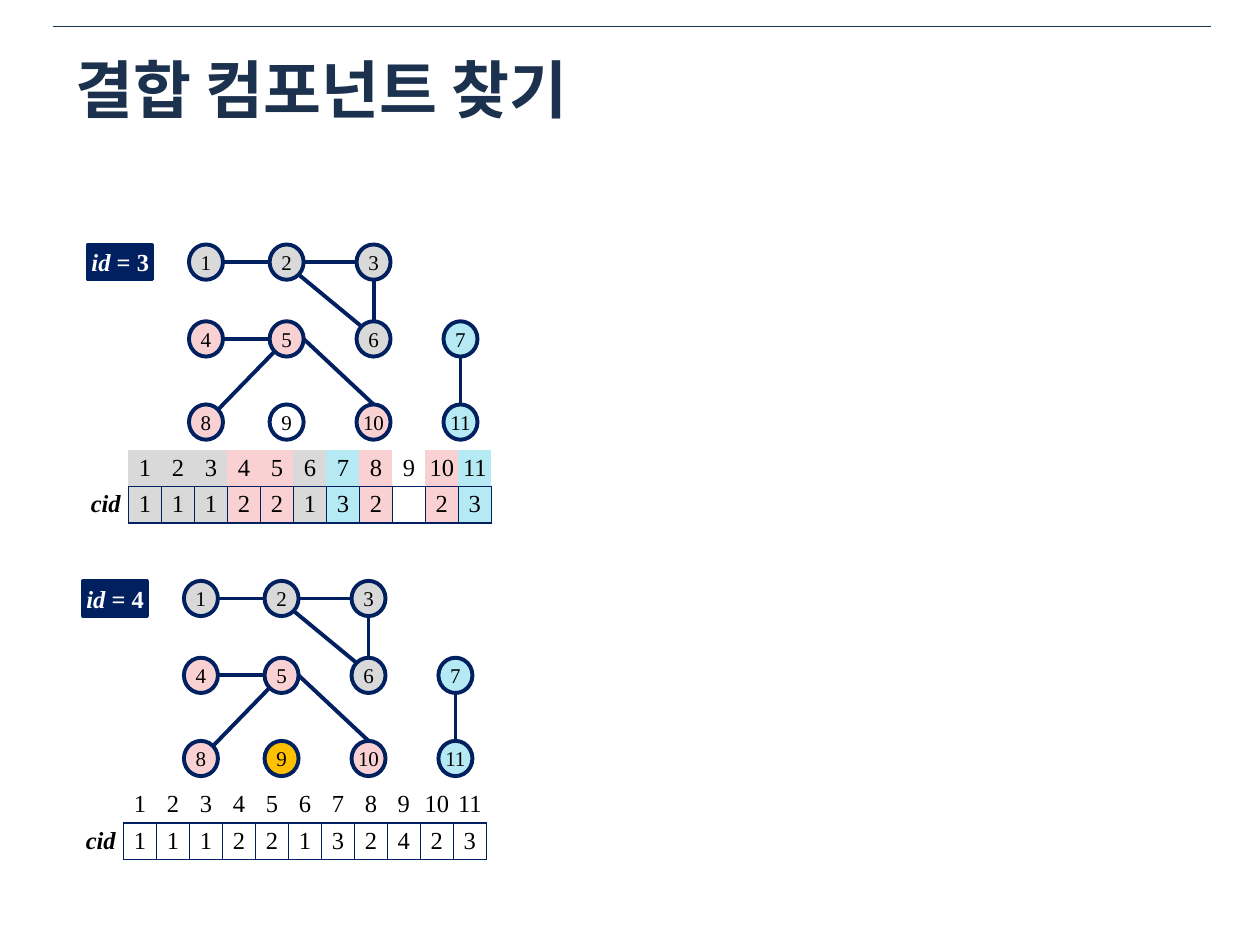
from math import cos, radians, sin

from lxml.etree import SubElement
from pptx import Presentation
from pptx.dml.color import RGBColor
from pptx.enum.shapes import MSO_CONNECTOR, MSO_SHAPE
from pptx.enum.text import MSO_ANCHOR, PP_ALIGN
from pptx.oxml.ns import qn
from pptx.util import Inches, Pt

NAVY = RGBColor(0x00, 0x20, 0x60)
TITLE_BLUE = RGBColor(0x1C, 0x31, 0x4E)
GRAY = RGBColor(0xD9, 0xD9, 0xD9)
PINK = RGBColor(0xF9, 0xD1, 0xD3)
CYAN = RGBColor(0xB5, 0xE9, 0xF4)
ORANGE = RGBColor(0xFF, 0xC0, 0x00)
WHITE = RGBColor(0xFF, 0xFF, 0xFF)
BLACK = RGBColor(0x00, 0x00, 0x00)
TITLE_FONT = "Noto Sans CJK KR"
FONT = "Times New Roman"

prs = Presentation()
prs.slide_width, prs.slide_height = Inches(10), Inches(7.5)
slide = prs.slides.add_slide(prs.slide_layouts[5])


def add_line(x1, y1, x2, y2, color, width):
    line = slide.shapes.add_connector(
        MSO_CONNECTOR.STRAIGHT, Inches(x1), Inches(y1), Inches(x2), Inches(y2))
    line.line.color.rgb = color
    line.line.width = Pt(width)
    SubElement(line._element.spPr, qn("a:effectLst"))


def write(frame, runs, size, color):
    """Centre runs of (text, bold, italic) in a text frame."""
    paragraph = frame.paragraphs[0]
    paragraph.alignment = PP_ALIGN.CENTER
    for text, bold, italic in runs:
        run = paragraph.add_run()
        run.text = text
        run.font.name, run.font.size = FONT, Pt(size)
        run.font.bold, run.font.italic = bold, italic
        run.font.color.rgb = color


# Rule and title
add_line(0.42, 0.21, 9.61, 0.21, TITLE_BLUE, 0.25)
title = slide.shapes.title
title.left, title.top = Inches(0.5), Inches(0.33)
title.width, title.height = Inches(9), Inches(0.75)
title.text_frame.vertical_anchor = MSO_ANCHOR.MIDDLE
heading = title.text_frame.paragraphs[0]
heading.alignment = PP_ALIGN.LEFT
heading_run = heading.add_run()
heading_run.text = "결합 컴포넌트 찾기"
heading_run.font.name, heading_run.font.size = TITLE_FONT, Pt(36)
heading_run.font.bold = True
heading_run.font.color.rgb = TITLE_BLUE
SubElement(heading_run._r.rPr, qn("a:ea"), typeface=TITLE_FONT)

# Graph: vertex -> (x, y), measured from the top left of the id label
NODE_W, NODE_H = 0.27, 0.28
COL_X = [0.8, 1.44, 2.13, 2.82]
ROW_Y = [0, 0.61, 1.27]
GRID = [[1, 2, 3], [4, 5, 6, 7], [8, 9, 10, 11]]
nodes = {vertex: (x, y) for y, row in zip(ROW_Y, GRID)
         for x, vertex in zip(COL_X, row)}

# Edges: vertex, angle on its rim, vertex, angle on its rim (clockwise degrees)
EDGES = [(1, 0, 2, 180), (2, 0, 3, 180), (2, 45, 6, 225), (3, 90, 6, 270),
         (4, 0, 5, 180), (5, 135, 8, 315), (5, 0, 10, 270), (7, 90, 11, 270)]

component = {1: 1, 2: 1, 3: 1, 4: 2, 5: 2, 6: 1, 7: 3, 8: 2, 10: 2, 11: 3}
COMPONENT_FILL = {1: GRAY, 2: PINK, 3: CYAN}
CID_WIDTH, CELL_WIDTH, ROW_HEIGHT = 0.36, 0.262, 0.29

# Stages: next id, left, top, fill of vertex 9, its component, colored table
STAGES = [(4, 0.66, 4.61, ORANGE, "4", False), (3, 0.7, 1.94, None, "", True)]

for next_id, left, top, fill_9, cid_9, colored in STAGES:
    # Edges
    for start, start_angle, end, end_angle in EDGES:
        ends = []
        for vertex, angle in ((start, start_angle), (end, end_angle)):
            x, y = nodes[vertex]
            ends += [left + x + NODE_W / 2 * (1 + cos(radians(angle))),
                     top + y + NODE_H / 2 * (1 + sin(radians(angle)))]
        add_line(*ends, NAVY, 2.25)

    # Vertices and id label
    boxes = [(MSO_SHAPE.OVAL, x, y, NODE_W,
              COMPONENT_FILL.get(component.get(vertex), fill_9),
              [(str(vertex), False, False)], 12, BLACK, 2.25)
             for vertex, (x, y) in nodes.items()]
    boxes.append((MSO_SHAPE.RECTANGLE, 0, 0, 0.51, NAVY,
                  [("id", True, True), (f" = {next_id}", True, False)], 14, WHITE, 2))
    for kind, x, y, width, fill, runs, size, color, outline in boxes:
        box = slide.shapes.add_shape(
            kind, Inches(left + x), Inches(top + y), Inches(width), Inches(NODE_H))
        box.shadow.inherit = False
        if fill is None:
            box.fill.background()
        else:
            box.fill.solid()
            box.fill.fore_color.rgb = fill
        box.line.color.rgb = NAVY
        box.line.width = Pt(outline)
        frame = box.text_frame
        frame.margin_left = frame.margin_right = 0
        frame.vertical_anchor = MSO_ANCHOR.MIDDLE
        frame.word_wrap = False
        write(frame, runs, size, color)

    # Component table
    table = slide.shapes.add_table(
        2, 12, Inches(left - 0.04), Inches(top + 1.63),
        Inches(CID_WIDTH + 11 * CELL_WIDTH), Inches(2 * ROW_HEIGHT)).table
    table.first_row = table.horz_banding = False
    for row in table.rows:
        row.height = Inches(ROW_HEIGHT)
    for i, column in enumerate(table.columns):
        column.width = Inches(CELL_WIDTH if i else CID_WIDTH)
        values = ["", "cid"]
        if i:
            values = [str(i), str(component.get(i, cid_9))]
        for j, value in enumerate(values):
            cell = table.cell(j, i)
            cell.margin_left = cell.margin_right = 0
            cell.margin_top = cell.margin_bottom = 0
            cell.vertical_anchor = MSO_ANCHOR.MIDDLE
            is_cid = value == "cid"
            write(cell.text_frame, [(value, is_cid, is_cid)], 14, BLACK)
            # Navy frame around the value cells only
            navy_sides = "LRTB" if i and j else "B" if i else "R" if j else ""
            for side in "LRTB":
                border = SubElement(cell._tc.get_or_add_tcPr(),
                                    qn(f"a:ln{side}"), w=str(Pt(1)))
                if side in navy_sides:
                    solid = SubElement(border, qn("a:solidFill"))
                    SubElement(solid, qn("a:srgbClr"), val=str(NAVY))
                else:
                    SubElement(border, qn("a:noFill"))
            if colored and i in component:
                cell.fill.solid()
                cell.fill.fore_color.rgb = COMPONENT_FILL[component[i]]
            else:
                cell.fill.background()

prs.save("out.pptx")
